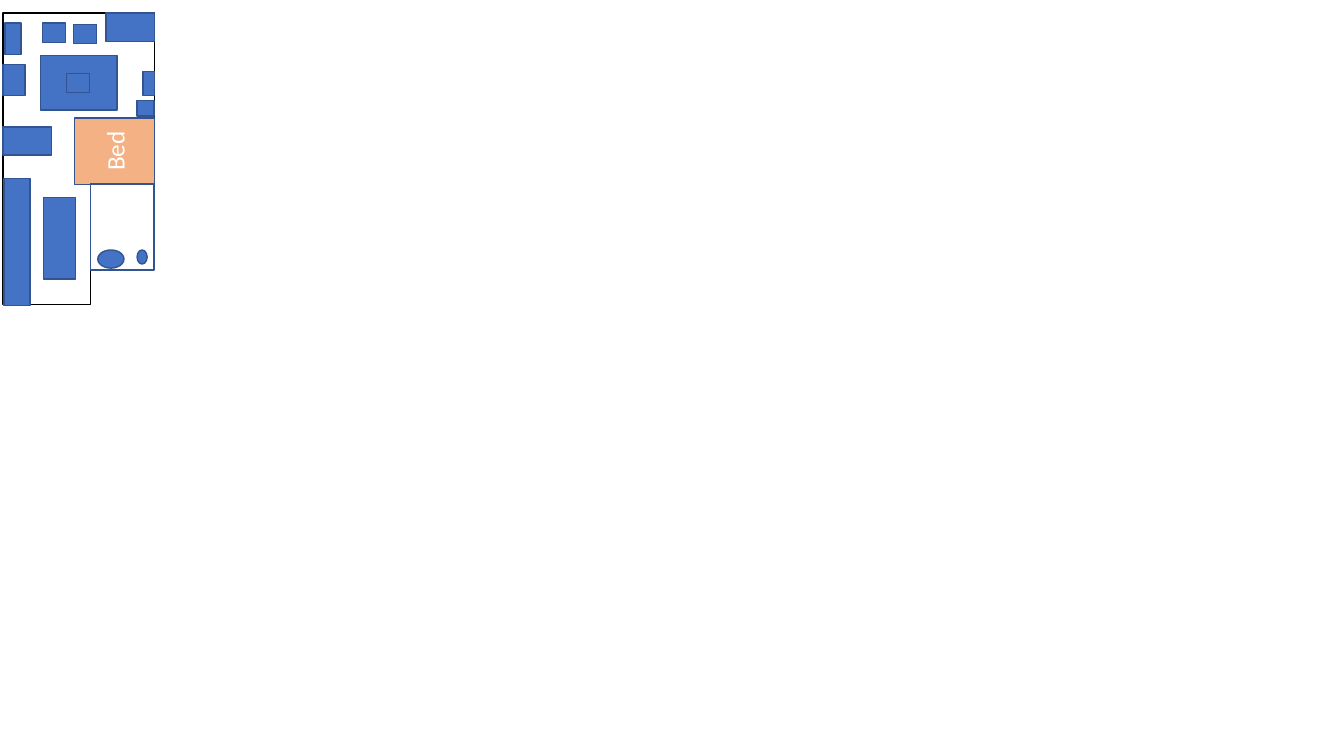
from dataclasses import dataclass

from pptx import Presentation
from pptx.dml.color import RGBColor
from pptx.enum.shapes import MSO_SHAPE
from pptx.enum.text import MSO_ANCHOR, PP_ALIGN
from pptx.util import Inches, Pt

RECT, OVAL = MSO_SHAPE.RECTANGLE, MSO_SHAPE.OVAL
MIDDLE, CENTER = MSO_ANCHOR.MIDDLE, PP_ALIGN.CENTER
BLANK_LAYOUT = 6


@dataclass(frozen=True)
class Theme:
    wall: str = "000000"
    outline: str = "325491"
    furniture: str = "4472C4"
    bed: str = "F4B183"
    label: str = "FFFFFF"
    font: str = "Calibri"
    label_size: float = 18
    line_width: float = 1


@dataclass(frozen=True)
class Item:
    """A piece of the floor plan: its place as seen, in inches."""
    left: float
    top: float
    width: float
    height: float
    fill: str | None = Theme.furniture
    outline_shape: MSO_SHAPE = RECT
    label: str = ""
    rotation: int = 0


THEME = Theme()

# Outer walls, clockwise from the top left corner
WALLS = [(0.03, 0.13), (1.53, 0.13), (1.53, 1.82), (0.9, 1.82),
         (0.9, 3.02), (0.03, 3.02)]

# Furniture and fixtures, from back to front
ITEMS = [
    Item(0.74, 1.17, 0.79, 0.66, fill=THEME.bed, label="Bed", rotation=270),
    # Along the walls
    Item(0.04, 1.77, 0.26, 1.26),
    Item(1.36, 1.0, 0.17, 0.15),
    Item(0.03, 1.26, 0.48, 0.28),
    Item(1.05, 0.13, 0.48, 0.28),
    Item(0.03, 0.64, 0.22, 0.31),
    Item(1.42, 0.71, 0.11, 0.24),
    Item(0.05, 0.23, 0.16, 0.31),
    # Tables in the middle of the rooms
    Item(0.4, 0.55, 0.76, 0.54),
    Item(0.43, 1.96, 0.32, 0.81),
    # Bathroom and its fixtures
    Item(0.9, 1.82, 0.63, 0.86, fill=None),
    Item(1.36, 2.48, 0.1, 0.14, outline_shape=OVAL),
    Item(0.97, 2.48, 0.26, 0.18, outline_shape=OVAL),
    # Seats
    Item(0.42, 0.23, 0.23, 0.19),
    Item(0.66, 0.73, 0.23, 0.19),
    Item(0.73, 0.24, 0.23, 0.19),
]


def paint(shape, fill: str | None, line: str) -> None:
    shape.shadow.inherit = False
    if fill:
        shape.fill.solid()
        shape.fill.fore_color.rgb = RGBColor.from_string(fill)
    else:
        shape.fill.background()
    shape.line.color.rgb = RGBColor.from_string(line)
    shape.line.width = Pt(THEME.line_width)


def write_label(shape, label: str) -> None:
    frame = shape.text_frame
    frame.vertical_anchor = MIDDLE
    paragraph = frame.paragraphs[0]
    paragraph.alignment = CENTER
    run = paragraph.add_run()
    run.text = label
    font_format = {"name": THEME.font, "size": Pt(THEME.label_size)}
    for attribute, value in font_format.items():
        setattr(run.font, attribute, value)
    run.font.color.rgb = RGBColor.from_string(THEME.label)


def draw_walls(slide, corners: list[tuple[float, float]]) -> None:
    points = [(Inches(x), Inches(y)) for x, y in corners]
    builder = slide.shapes.build_freeform(*points[0])
    builder.add_line_segments(points[1:], close=True)
    paint(builder.convert_to_shape(), None, THEME.wall)


def draw_item(slide, item: Item) -> None:
    left, top, width, height = item.left, item.top, item.width, item.height
    if item.rotation in (90, 270):
        # A quarter turn swaps the sides about the same centre
        shift = (width - height) / 2
        left, top, width, height = left + shift, top - shift, height, width
    shape = slide.shapes.add_shape(item.outline_shape, Inches(left), Inches(top),
                                   Inches(width), Inches(height))
    shape.rotation = item.rotation
    paint(shape, item.fill, THEME.outline)
    if item.label:
        write_label(shape, item.label)


def main() -> None:
    deck = Presentation()
    deck.slide_width, deck.slide_height = Inches(13.33), Inches(7.5)
    slide = deck.slides.add_slide(deck.slide_layouts[BLANK_LAYOUT])
    draw_walls(slide, WALLS)
    for item in ITEMS:
        draw_item(slide, item)
    deck.save("out.pptx")


if __name__ == "__main__":
    main()
